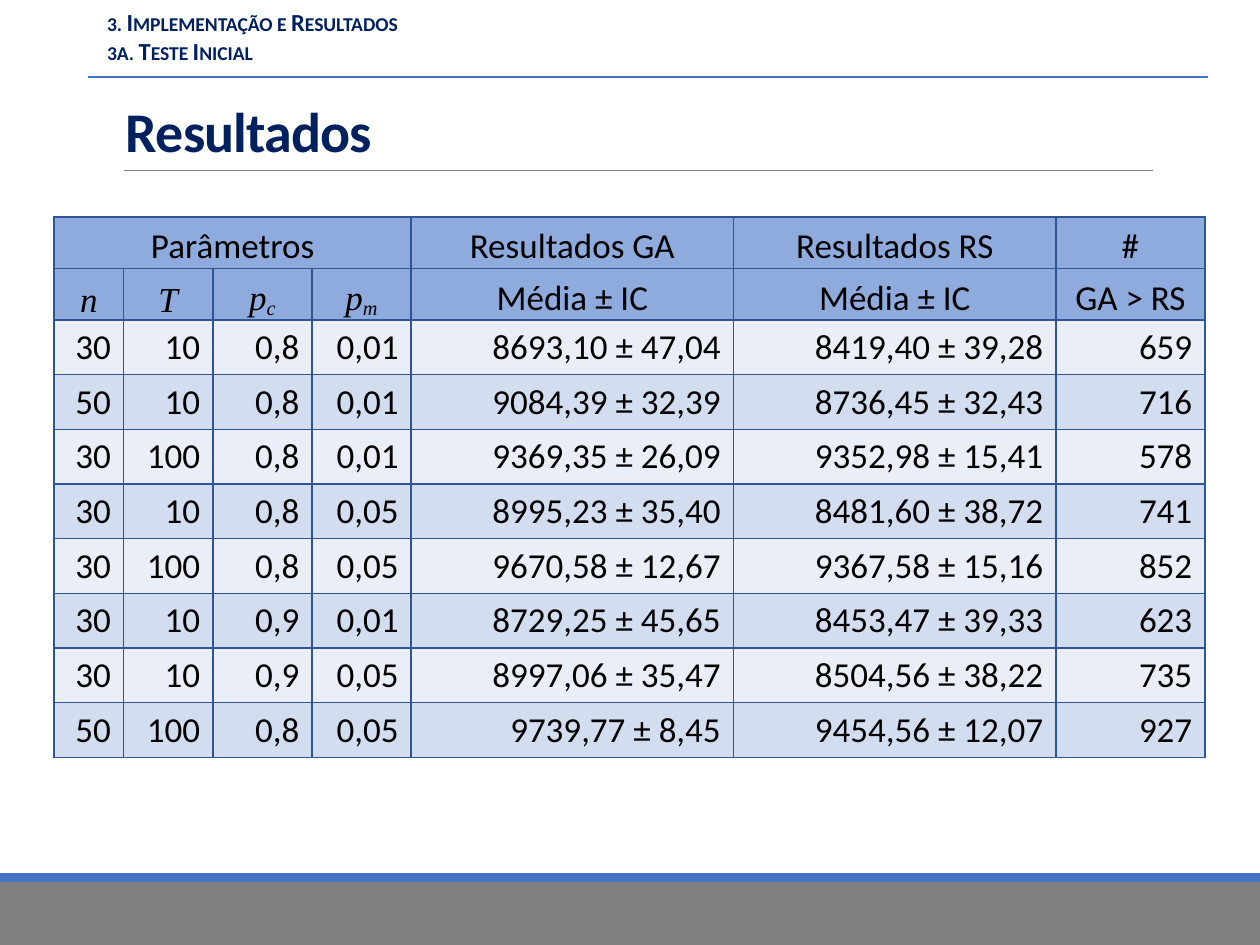
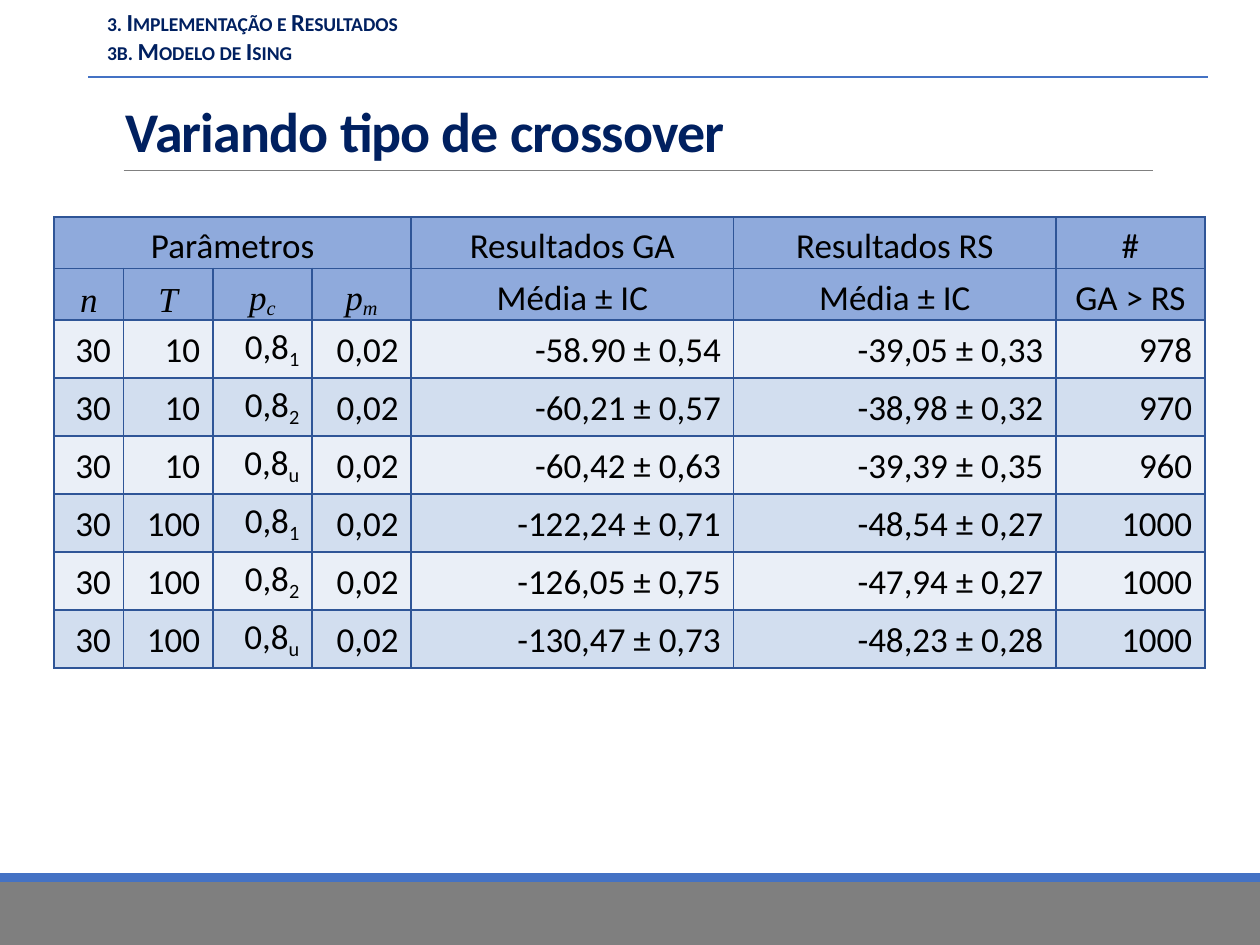
from lxml import etree
from pptx import Presentation
from pptx.dml.color import RGBColor
from pptx.enum import shapes, text
from pptx.oxml import ns
from pptx.util import Cm, Pt

COLOURS = {
    "navy": "002060", "ink": "000000", "footer": "7F7F7F", "accent": "4472C4",
    "title_rule": "808080", "border": "2F5597", "header": "8FAADC",
    "light_row": "EAEFF7", "dark_row": "D2DEEF",
}
FONT, MATH_FONT = "Calibri", "Times New Roman"
PAGE_WIDTH, PAGE_HEIGHT = 25.4, 19.05
COLUMN_WIDTHS = [1.4, 1.8, 2, 2, 6.5, 6.5, 3]
ROW_HEIGHT = 1.04
MATH_COLUMNS = 4

# An underscore starts a subscript.
HEADER_ROWS = [
    ["Parâmetros", "", "", "", "Resultados GA", "Resultados RS", "#"],
    ["n", "T", "p_c", "p_m", "Média ± IC", "Média ± IC", "GA > RS"],
]
INITIAL_TEST = [
    ["30", "10", "0,8", "0,01", "8693,10 ± 47,04", "8419,40 ± 39,28", "659"],
    ["50", "10", "0,8", "0,01", "9084,39 ± 32,39", "8736,45 ± 32,43", "716"],
    ["30", "100", "0,8", "0,01", "9369,35 ± 26,09", "9352,98 ± 15,41", "578"],
    ["30", "10", "0,8", "0,05", "8995,23 ± 35,40", "8481,60 ± 38,72", "741"],
    ["30", "100", "0,8", "0,05", "9670,58 ± 12,67", "9367,58 ± 15,16", "852"],
    ["30", "10", "0,9", "0,01", "8729,25 ± 45,65", "8453,47 ± 39,33", "623"],
    ["30", "10", "0,9", "0,05", "8997,06 ± 35,47", "8504,56 ± 38,22", "735"],
    ["50", "100", "0,8", "0,05", "9739,77 ± 8,45", "9454,56 ± 12,07", "927"],
]
CROSSOVER_TYPES = [
    ["30", "10", "0,8_1", "0,02", "-58.90 ± 0,54", "-39,05 ± 0,33", "978"],
    ["30", "10", "0,8_2", "0,02", "-60,21 ± 0,57", "-38,98 ± 0,32", "970"],
    ["30", "10", "0,8_u", "0,02", "-60,42 ± 0,63", "-39,39 ± 0,35", "960"],
    ["30", "100", "0,8_1", "0,02", "-122,24 ± 0,71", "-48,54 ± 0,27", "1000"],
    ["30", "100", "0,8_2", "0,02", "-126,05 ± 0,75", "-47,94 ± 0,27", "1000"],
    ["30", "100", "0,8_u", "0,02", "-130,47 ± 0,73", "-48,23 ± 0,28", "1000"],
]


def colour(name):
    return RGBColor.from_string(COLOURS[name])


def write(para, words, size=20, font=FONT, ink="ink", bold=False, italic=False,
          align=None, line_spacing=None, drop=0, **attributes):
    """Fill a paragraph; what follows an underscore is lowered by drop (1/1000 %)."""
    para.alignment = align
    para.line_spacing = line_spacing
    for level, part in enumerate(words.split("_")):
        span = para.add_run()
        span.text = part
        span.font.size = Pt(size)
        span.font.name = font
        span.font.bold = bold
        span.font.italic = italic
        span.font.color.rgb = colour(ink)
        properties = span._r.get_or_add_rPr()
        for key, value in attributes.items():
            properties.set(key, value)
        if level:
            properties.set("baseline", str(drop))


def add_band(page, top, height, fill):
    band = page.shapes.add_shape(shapes.MSO_SHAPE.RECTANGLE, 0, Cm(top),
                                 Cm(PAGE_WIDTH), Cm(height))
    band.shadow.inherit = False
    band.fill.solid()
    band.fill.fore_color.rgb = colour(fill)
    band.line.fill.background()


def add_rule(page, left, right, top, ink, width):
    rule = page.shapes.add_connector(shapes.MSO_CONNECTOR.STRAIGHT,
                                     Cm(left), Cm(top), Cm(right), Cm(top))
    rule.line.color.rgb = colour(ink)
    rule.line.width = Pt(width)
    etree.SubElement(rule._element.spPr, ns.qn("a:effectLst"))


def add_frame(page):
    """Footer bands and the rules under section and title."""
    add_band(page, 17.78, PAGE_HEIGHT - 17.78, "footer")
    add_band(page, 17.6, 0.18, "accent")
    add_rule(page, 2.49, 23.24, 3.43, "title_rule", 0.5)
    add_rule(page, 1.78, 24.36, 1.55, "accent", 1)


def add_title(page, words, left, top, width, height):
    frame = page.shapes.add_textbox(Cm(left), Cm(top), Cm(width), Cm(height)).text_frame
    frame.word_wrap = True
    frame.vertical_anchor = text.MSO_ANCHOR.BOTTOM
    write(frame.paragraphs[0], words, size=32, ink="navy", bold=True,
          line_spacing=0.85, spc="-50")


def add_section(page, lines, left, top, width, height):
    frame = page.shapes.add_textbox(Cm(left), Cm(top), Cm(width), Cm(height)).text_frame
    frame.word_wrap = False
    frame.auto_size = text.MSO_AUTO_SIZE.SHAPE_TO_FIT_TEXT
    frame.margin_left = frame.margin_right = Cm(0.23)
    frame.margin_top = frame.margin_bottom = Cm(0.11)
    for index, line in enumerate(lines):
        para = frame.add_paragraph() if index else frame.paragraphs[0]
        write(para, line, size=14, ink="navy", bold=True, cap="small")


def add_borders(cell):
    properties = cell._tc.get_or_add_tcPr()
    for place, side in enumerate("LRTB"):
        edge = etree.Element(ns.qn(f"a:ln{side}"), w=str(Pt(1)))
        fill = etree.SubElement(edge, ns.qn("a:solidFill"))
        etree.SubElement(fill, ns.qn("a:srgbClr"), val=COLOURS["border"])
        properties.insert(place, edge)


def format_cell(cell, words, row, column):
    is_header = row < len(HEADER_ROWS)
    cell.vertical_anchor = text.MSO_ANCHOR.BOTTOM
    cell.fill.solid()
    band = "dark_row" if row % 2 else "light_row"
    cell.fill.fore_color.rgb = colour("header" if is_header else band)
    if is_header:
        cell.margin_left = cell.margin_right = cell.margin_top = Cm(0.03)
        cell.margin_bottom = 0
    add_borders(cell)
    if words:
        is_math = row == 1 and column < MATH_COLUMNS
        write(cell.text_frame.paragraphs[0], words,
              font=MATH_FONT if is_math else FONT, italic=is_math,
              align=text.PP_ALIGN.CENTER if is_header else text.PP_ALIGN.RIGHT,
              drop=-14000 if is_header else -18000)


def add_results(page, body_rows, left, top):
    rows = HEADER_ROWS + body_rows
    table = page.shapes.add_table(
        len(rows), len(COLUMN_WIDTHS), Cm(left), Cm(top),
        Cm(sum(COLUMN_WIDTHS)), Cm(ROW_HEIGHT * len(rows))).table
    table.first_row = table.horz_banding = False
    for column, width in zip(table.columns, COLUMN_WIDTHS):
        column.width = Cm(width)
    for row, values in enumerate(rows):
        table.rows[row].height = Cm(ROW_HEIGHT)
        for column, words in enumerate(values):
            format_cell(table.cell(row, column), words, row, column)
    table.cell(0, 0).merge(table.cell(0, MATH_COLUMNS - 1))


def add_results_page(deck, subsection, title, body_rows):
    page = deck.slides.add_slide(deck.slide_layouts[6])
    add_frame(page)
    add_title(page, title, 2.29, 1.75, 20.96, 1.68)
    add_section(page, ["3. Implementação e Resultados", subsection],
                1.93, 0.03, 6.53, 1.42)
    add_results(page, body_rows, 1.09, 4.37)


def main():
    deck = Presentation()
    deck.slide_width, deck.slide_height = Cm(PAGE_WIDTH), Cm(PAGE_HEIGHT)
    add_results_page(deck, "3a. Teste Inicial", "Resultados", INITIAL_TEST)
    add_results_page(deck, "3b. Modelo de Ising", "Variando tipo de crossover",
                     CROSSOVER_TYPES)
    deck.save("out.pptx")


if __name__ == "__main__":
    main()
